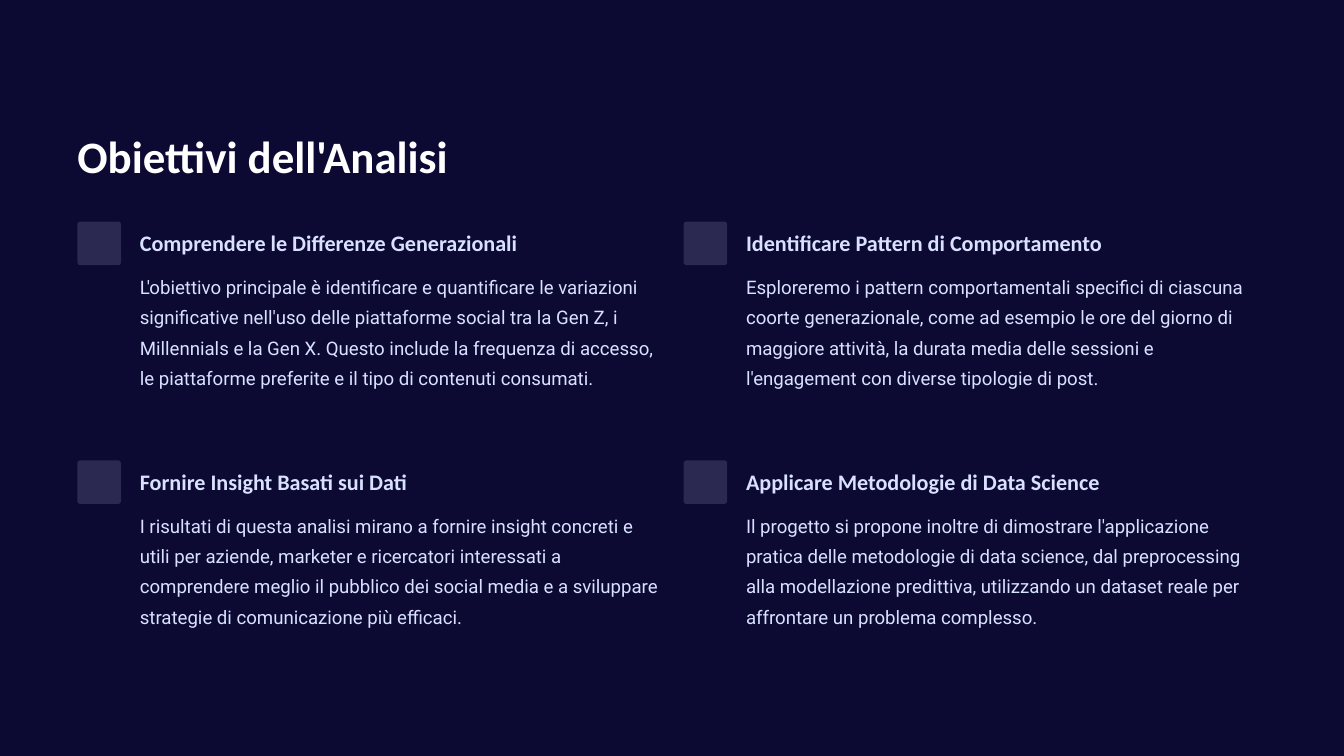
from pptx import Presentation
from pptx.dml.color import RGBColor
from pptx.enum.shapes import MSO_SHAPE
from pptx.enum.text import MSO_ANCHOR, MSO_AUTO_SIZE, PP_ALIGN
from pptx.util import Cm, Pt

NAVY = RGBColor(0x0C, 0x0A, 0x33)
PURPLE = RGBColor(0x2B, 0x29, 0x52)
LAVENDER = RGBColor(0xD9, 0xE1, 0xFF)
WHITE = RGBColor(0xFF, 0xFF, 0xFF)

HEADING_FONT = "Calibri"
BODY_FONT = "Roboto"

GOALS = [
    ("Comprendere le Differenze Generazionali",
     "L'obiettivo principale è identificare e quantificare le variazioni "
     "significative nell'uso delle piattaforme social tra la Gen Z, i "
     "Millennials e la Gen X. Questo include la frequenza di accesso, "
     "le piattaforme preferite e il tipo di contenuti consumati."),
    ("Identificare Pattern di Comportamento",
     "Esploreremo i pattern comportamentali specifici di ciascuna "
     "coorte generazionale, come ad esempio le ore del giorno di "
     "maggiore attività, la durata media delle sessioni e "
     "l'engagement con diverse tipologie di post."),
    ("Fornire Insight Basati sui Dati",
     "I risultati di questa analisi mirano a fornire insight concreti e "
     "utili per aziende, marketer e ricercatori interessati a "
     "comprendere meglio il pubblico dei social media e a sviluppare "
     "strategie di comunicazione più efficaci."),
    ("Applicare Metodologie di Data Science",
     "Il progetto si propone inoltre di dimostrare l'applicazione "
     "pratica delle metodologie di data science, dal preprocessing "
     "alla modellazione predittiva, utilizzando un dataset reale per "
     "affrontare un problema complesso."),
]


def write_text(shape, text, font_name, size, line_spacing, color, bold=False):
    """Fill a shape with one left-aligned paragraph, without margins."""
    frame = shape.text_frame
    frame.margin_left = frame.margin_right = 0
    frame.margin_top = frame.margin_bottom = 0
    frame.word_wrap = True
    frame.auto_size = MSO_AUTO_SIZE.NONE
    frame.vertical_anchor = MSO_ANCHOR.TOP
    paragraph = frame.paragraphs[0]
    paragraph.alignment = PP_ALIGN.LEFT
    paragraph.line_spacing = Pt(line_spacing)
    paragraph.space_before = Pt(0)
    run = paragraph.add_run()
    run.text = text
    run.font.name = font_name
    run.font.size = Pt(size)
    run.font.bold = bold
    run.font.color.rgb = color


def add_title(slide, left, top, width, height):
    title = slide.shapes.title
    title.left, title.top, title.width, title.height = left, top, width, height
    write_text(title, "Obiettivi dell'Analisi", HEADING_FONT, 38.5, 48.5, WHITE, bold=True)


def add_goal(slide, left, top, width, height, heading, description):
    """Place a square marker with a heading and a description to its right."""
    marker_size = Cm(1.32)
    marker = slide.shapes.add_shape(
        MSO_SHAPE.ROUNDED_RECTANGLE, left, top, marker_size, marker_size)
    marker.adjustments[0] = 0.07
    marker.shadow.inherit = False
    marker.fill.solid()
    marker.fill.fore_color.rgb = PURPLE
    marker.line.fill.background()

    text_left = left + Cm(1.89)
    text_width = left + width - text_left
    heading_box = slide.shapes.add_textbox(text_left, top + Cm(0.19), text_width, Cm(0.86))
    write_text(heading_box, heading, HEADING_FONT, 19, 24, LAVENDER, bold=True)

    body_offset = Cm(1.4)
    body_box = slide.shapes.add_textbox(
        text_left, top + body_offset, text_width, height - body_offset)
    write_text(body_box, description, BODY_FONT, 16, 26, LAVENDER)


def add_goal_grid(slide, left, top, width, height, columns=2):
    column_gap, row_gap = Cm(0.7), Cm(2.09)
    rows = len(GOALS) // columns
    goal_width = (width - column_gap * (columns - 1)) // columns
    goal_height = (height - row_gap * (rows - 1)) // rows
    for index, (heading, description) in enumerate(GOALS):
        row, column = divmod(index, columns)
        add_goal(slide,
                 left + column * (goal_width + column_gap),
                 top + row * (goal_height + row_gap),
                 goal_width, goal_height, heading, description)


def main():
    presentation = Presentation()
    presentation.slide_width = Cm(40.64)
    presentation.slide_height = Cm(22.86)
    slide = presentation.slides.add_slide(presentation.slide_layouts[5])
    slide.background.fill.solid()
    slide.background.fill.fore_color.rgb = NAVY

    margin = Cm(2.34)
    add_title(slide, margin, Cm(3.81), Cm(14.45), Cm(1.7))
    add_goal_grid(slide, margin, Cm(6.7), presentation.slide_width - 2 * margin, Cm(12.35))
    presentation.save("out.pptx")


if __name__ == "__main__":
    main()
